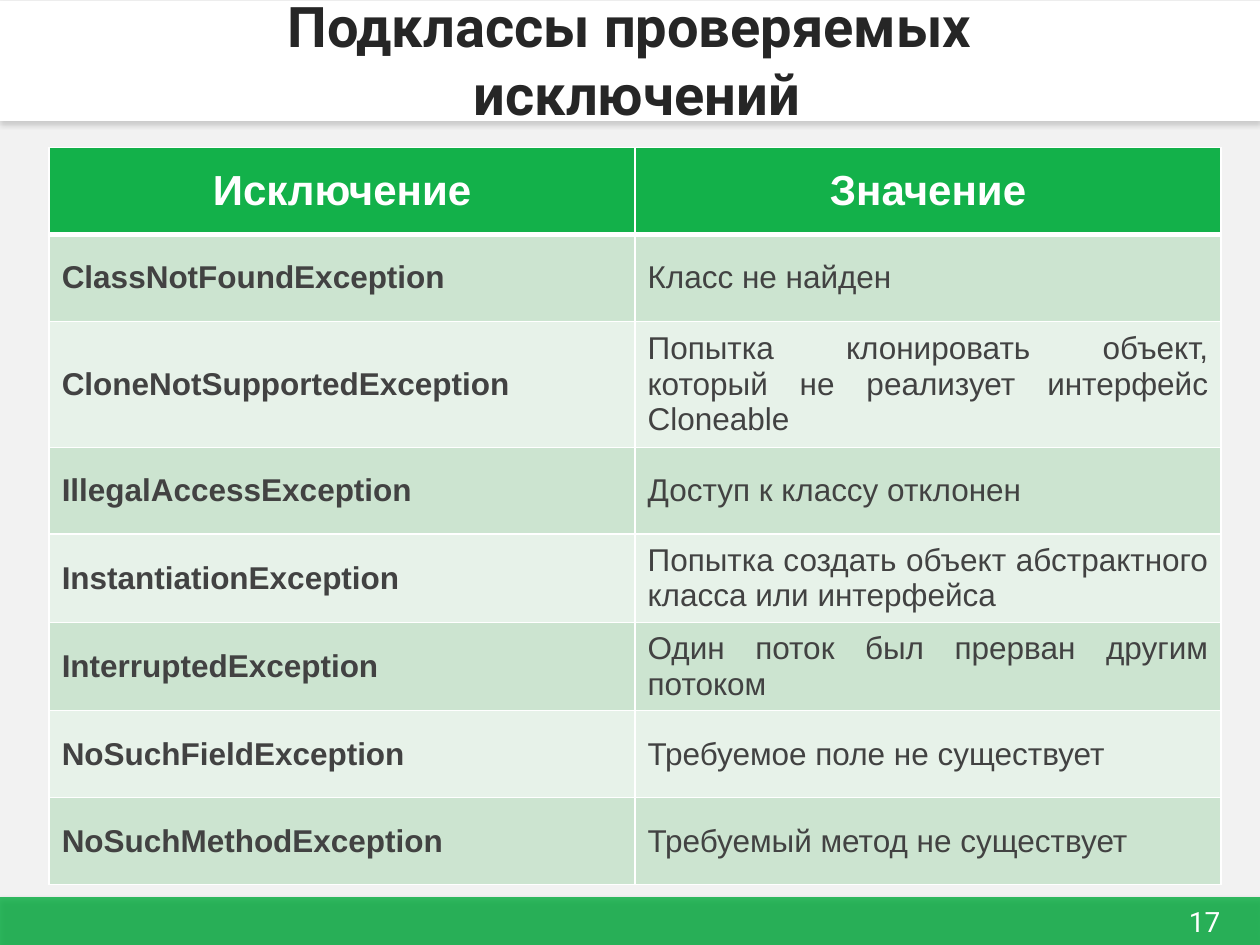
from pptx import Presentation
from pptx.dml.color import RGBColor
from pptx.enum.shapes import MSO_SHAPE
from pptx.enum.text import MSO_ANCHOR, PP_ALIGN
from pptx.oxml import parse_xml
from pptx.oxml.ns import nsdecls, qn
from pptx.util import Inches, Pt
from lxml import etree

RECT = MSO_SHAPE.RECTANGLE
MIDDLE = MSO_ANCHOR.MIDDLE
LEFT, CENTER, JUSTIFY = PP_ALIGN.LEFT, PP_ALIGN.CENTER, PP_ALIGN.JUSTIFY

COLORS = {
    "page": "F2F2F2",
    "green": "13B14A",
    "white": "FFFFFF",
    "title": "262626",
    "body": "424242",
    "dark": "CCE4D0",
    "light": "E7F2E9",
    "black": "000000",
    "gray": "808080",
}

HEADS = ("Исключение", "Значение")
ROWS = [
    ("ClassNotFoundException", "Класс не найден"),
    ("CloneNotSupportedException",
     "Попытка клонировать объект, который не реализует интерфейс Cloneable"),
    ("IllegalAccessException", "Доступ к классу отклонен"),
    ("InstantiationException",
     "Попытка создать объект абстрактного класса или интерфейса"),
    ("InterruptedException", "Один поток был прерван другим потоком"),
    ("NoSuchFieldException", "Требуемое поле не существует"),
    ("NoSuchMethodException", "Требуемый метод не существует"),
]


def paint(fill, color):
    fill.solid()
    fill.fore_color.rgb = RGBColor.from_string(COLORS[color])


def write(frame, text, font, size, color, bold=False, align=CENTER):
    frame.text = text
    para = frame.paragraphs[0]
    para.alignment = align
    for run in para.runs:
        run.font.name = font
        run.font.size = Pt(size)
        run.font.bold = bold
        run.font.color.rgb = RGBColor.from_string(COLORS[color])


def add_bar(slide, top, height, color, shade, alpha=100):
    bar = slide.shapes.add_shape(
        RECT, Inches(0), Inches(top), Inches(10), Inches(height))
    paint(bar.fill, color)
    bar.line.fill.background()
    props = bar._element.spPr
    tone = props.find(qn("a:solidFill"))[0]
    etree.SubElement(tone, qn("a:alpha"), val=str(alpha * 1000))
    props.append(parse_xml(
        f'<a:effectLst {nsdecls("a")}>'
        f'<a:outerShdw blurRad="{Pt(3.1)}" dist="{Pt(1.8)}" dir="5400000" rotWithShape="0">'
        f'<a:srgbClr val="{COLORS[shade]}"><a:alpha val="35000"/></a:srgbClr>'
        '</a:outerShdw></a:effectLst>'))


def add_text(slide, left, top, width, height, text, size, color, bold=False):
    box = slide.shapes.add_textbox(
        Inches(left), Inches(top), Inches(width), Inches(height))
    frame = box.text_frame
    frame.word_wrap = True
    frame.vertical_anchor = MIDDLE
    write(frame, text, "Roboto", size, color, bold)


def add_edges(cell, base):
    props = cell._tc.get_or_add_tcPr()
    for side, width in (("L", 1), ("R", 1), ("T", 1), ("B", base)):
        props.append(parse_xml(
            f'<a:ln{side} {nsdecls("a")} w="{Pt(width)}"><a:solidFill>'
            f'<a:srgbClr val="{COLORS["white"]}"/></a:solidFill></a:ln{side}>'))


def fill_cell(cell, text, size, color, bold, align, back, base=1):
    add_edges(cell, base)
    paint(cell.fill, back)
    cell.vertical_anchor = MIDDLE
    write(cell.text_frame, text, "Arial", size, color, bold, align)


def add_grid(slide):
    count = len(ROWS) + 1
    high = 0.69
    table = slide.shapes.add_table(
        count, 2, Inches(0.39), Inches(1.17),
        Inches(9.3), Inches(high * count)).table
    for row in table.rows:
        row.height = Inches(high)
    for col, head in enumerate(HEADS):
        fill_cell(table.cell(0, col), head, 24, "white", True, CENTER, "green", 3)
    for num, (name, sense) in enumerate(ROWS, 1):
        back = "dark" if num % 2 else "light"
        fill_cell(table.cell(num, 0), name, 18, "body", True, LEFT, back)
        fill_cell(table.cell(num, 1), sense, 18, "body", False, JUSTIFY, back)


def main():
    deck = Presentation()
    deck.slide_width, deck.slide_height = Inches(10), Inches(7.5)
    slide = deck.slides.add_slide(deck.slide_layouts[6])
    paint(slide.background.fill, "page")
    add_bar(slide, 7.12, 0.38, "green", "black", 86)
    add_bar(slide, 0.01, 0.95, "white", "gray")
    add_text(slide, 9.22, 7.13, 0.68, 0.37, "17", 16, "white")
    add_text(slide, 0, -0.01, 10, 0.96,
             "Подклассы проверяемых\v исключений", 32, "title", True)
    add_grid(slide)
    deck.save("out.pptx")


if __name__ == "__main__":
    main()
